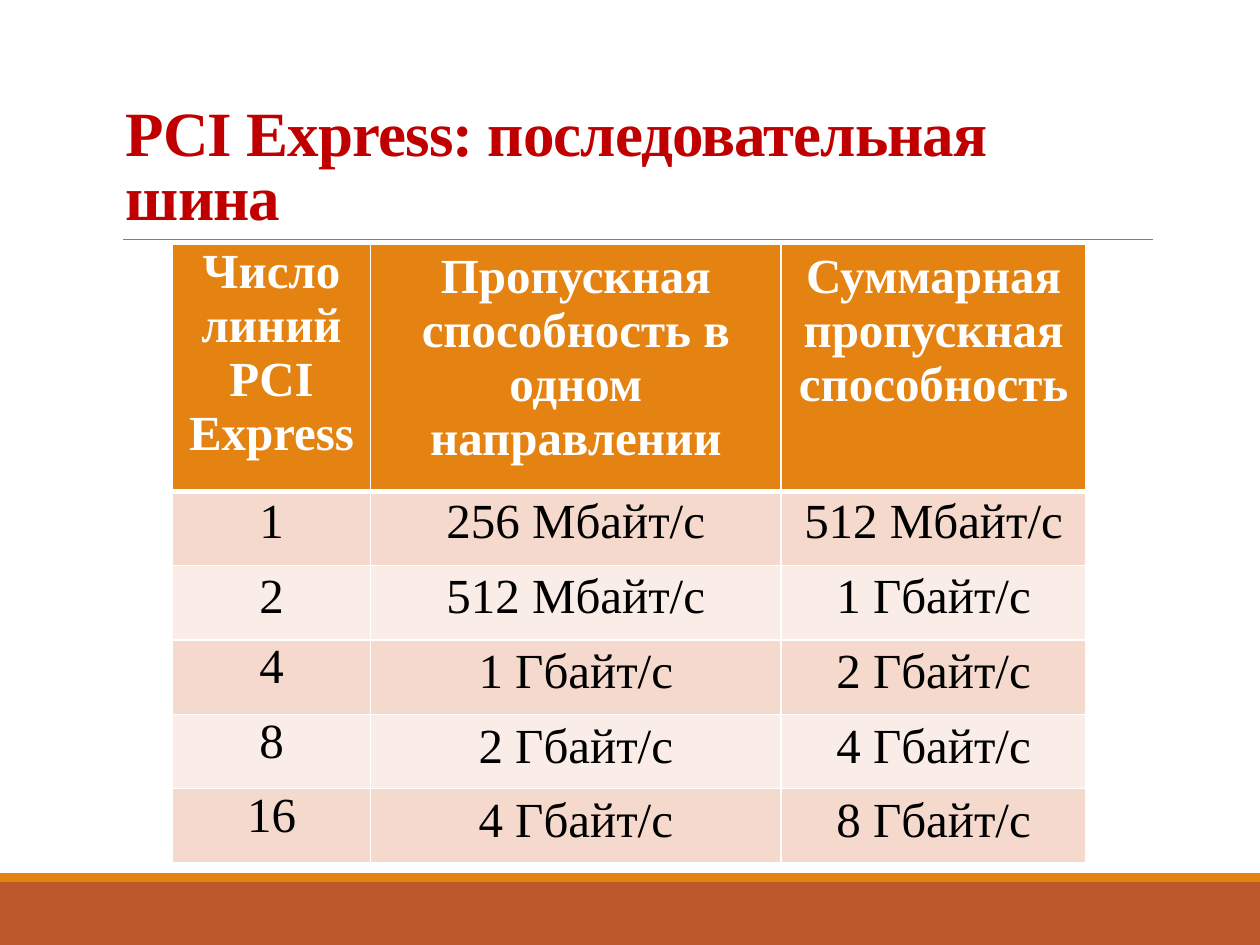
from lxml import etree
from pptx import Presentation
from pptx.dml.color import RGBColor
from pptx.enum.shapes import MSO_CONNECTOR, MSO_SHAPE
from pptx.enum.text import MSO_ANCHOR, PP_ALIGN
from pptx.oxml.ns import qn
from pptx.util import Inches, Pt

FONT = "Times New Roman"
ORANGE, RUST, WHITE = "E48312", "BD582C", "FFFFFF"
BANDS = ["FAEDE7", "F5D9CC"]


def color(value):
    return RGBColor.from_string(value)


def add_border(cell, side, points):
    line = etree.SubElement(cell._tc.get_or_add_tcPr(), qn(f"a:ln{side}"), w=str(Pt(points)))
    fill = etree.SubElement(line, qn("a:solidFill"))
    etree.SubElement(fill, qn("a:srgbClr"), val=WHITE)


prs = Presentation()
prs.slide_width, prs.slide_height = Inches(10), Inches(7.5)
slide = prs.slides.add_slide(prs.slide_layouts[6])

# Footer bands
for top, height, band_color in [(7, 0.5, RUST), (6.93, 0.07, ORANGE)]:
    band = slide.shapes.add_shape(
        MSO_SHAPE.RECTANGLE, 0, Inches(top), Inches(10), Inches(height))
    band.shadow.inherit = False
    band.fill.solid()
    band.fill.fore_color.rgb = color(band_color)
    band.line.fill.background()

# Rule under the title
rule = slide.shapes.add_connector(
    MSO_CONNECTOR.STRAIGHT, Inches(0.98), Inches(1.9), Inches(9.15), Inches(1.9))
rule.line.color.rgb = color("808080")
rule.line.width = Pt(0.5)
etree.SubElement(rule._element.spPr, qn("a:effectLst"))

# Title
title = slide.shapes.add_textbox(Inches(0.9), Inches(0.31), Inches(8.25), Inches(1.59))
title_frame = title.text_frame
title_frame.word_wrap = True
title_frame.vertical_anchor = MSO_ANCHOR.BOTTOM
heading = title_frame.paragraphs[0]
heading.line_spacing = 0.85
heading_run = heading.add_run()
heading_run.text = "PCI Express: последовательная шина"
heading_run.font.name = FONT
heading_run.font.size = Pt(36)
heading_run.font.bold = True
heading_run.font.color.rgb = color("C00000")
heading_run.font._element.set("spc", "-50")

# Bandwidth by number of lanes
rows = [
    ("Число линий PCI Express", "Пропускная способность в одном направлении",
     "Суммарная пропускная способность"),
    ("1", "256 Мбайт/с", "512 Мбайт/с"),
    ("2", "512 Мбайт/с", "1 Гбайт/с"),
    ("4", "1 Гбайт/с", "2 Гбайт/с"),
    ("8", "2 Гбайт/с", "4 Гбайт/с"),
    ("16", "4 Гбайт/с", "8 Гбайт/с"),
]
bandwidth = slide.shapes.add_table(
    len(rows), 3, Inches(1.37), Inches(1.94), Inches(7.25), Inches(4.9)).table
for column, width in zip(bandwidth.columns, [1.57, 3.26, 2.42]):
    column.width = Inches(width)

for r, values in enumerate(rows):
    is_header = r == 0
    bandwidth.rows[r].height = Inches(1.96 if is_header else 0.59)
    for c, value in enumerate(values):
        cell = bandwidth.cell(r, c)
        if r in (1, 2):
            margin_x = margin_y = 0.03
        else:
            margin_x, margin_y = (0, 0) if c == 0 else (0.08, 0.04)
        cell.margin_left = cell.margin_right = Inches(margin_x)
        cell.margin_top = cell.margin_bottom = Inches(margin_y)
        for side in "LRTB":
            add_border(cell, side, 3 if is_header and side == "B" else 1)
        cell.fill.solid()
        cell.fill.fore_color.rgb = color(ORANGE if is_header else BANDS[r % 2])

        paragraph = cell.text_frame.paragraphs[0]
        paragraph.alignment = PP_ALIGN.CENTER
        run = paragraph.add_run()
        run.text = value
        run.font.name = FONT
        run.font.size = Pt(28)
        run.font.bold = is_header
        run.font.color.rgb = color(WHITE if is_header else "000000")

prs.save("out.pptx")
